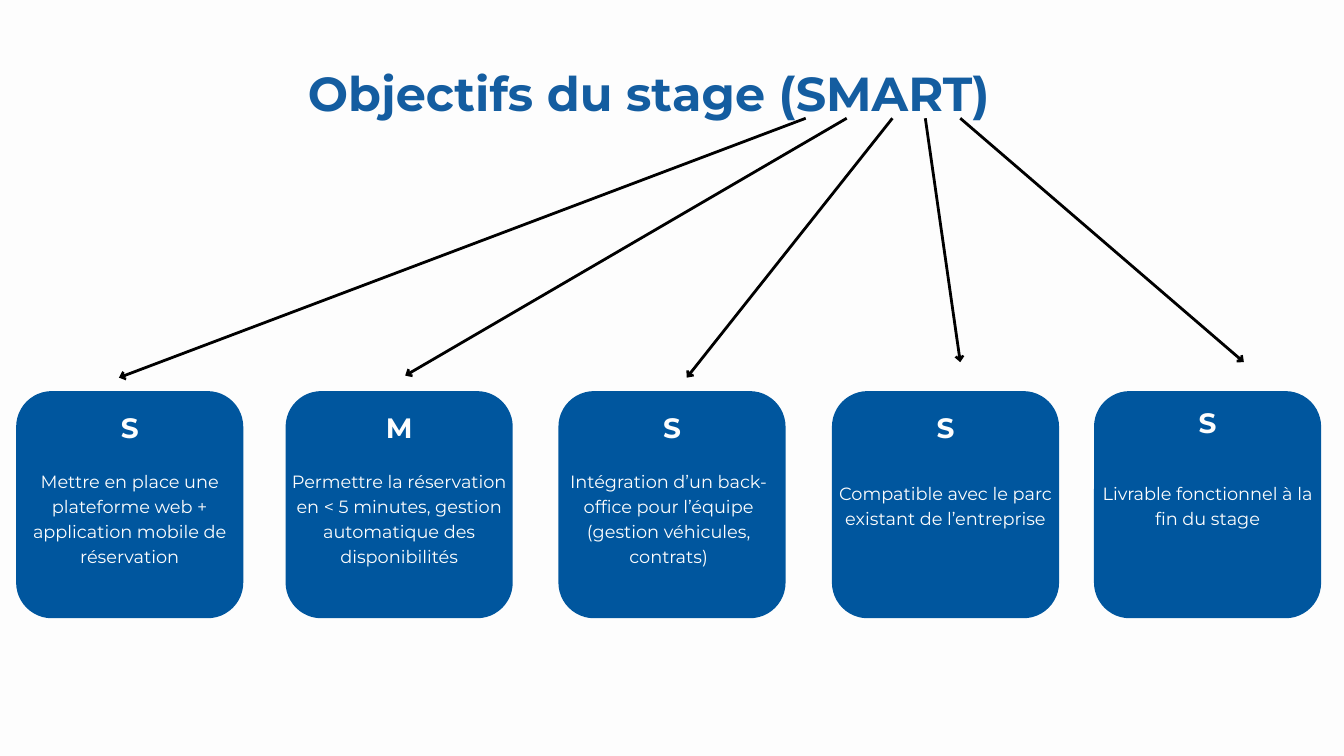
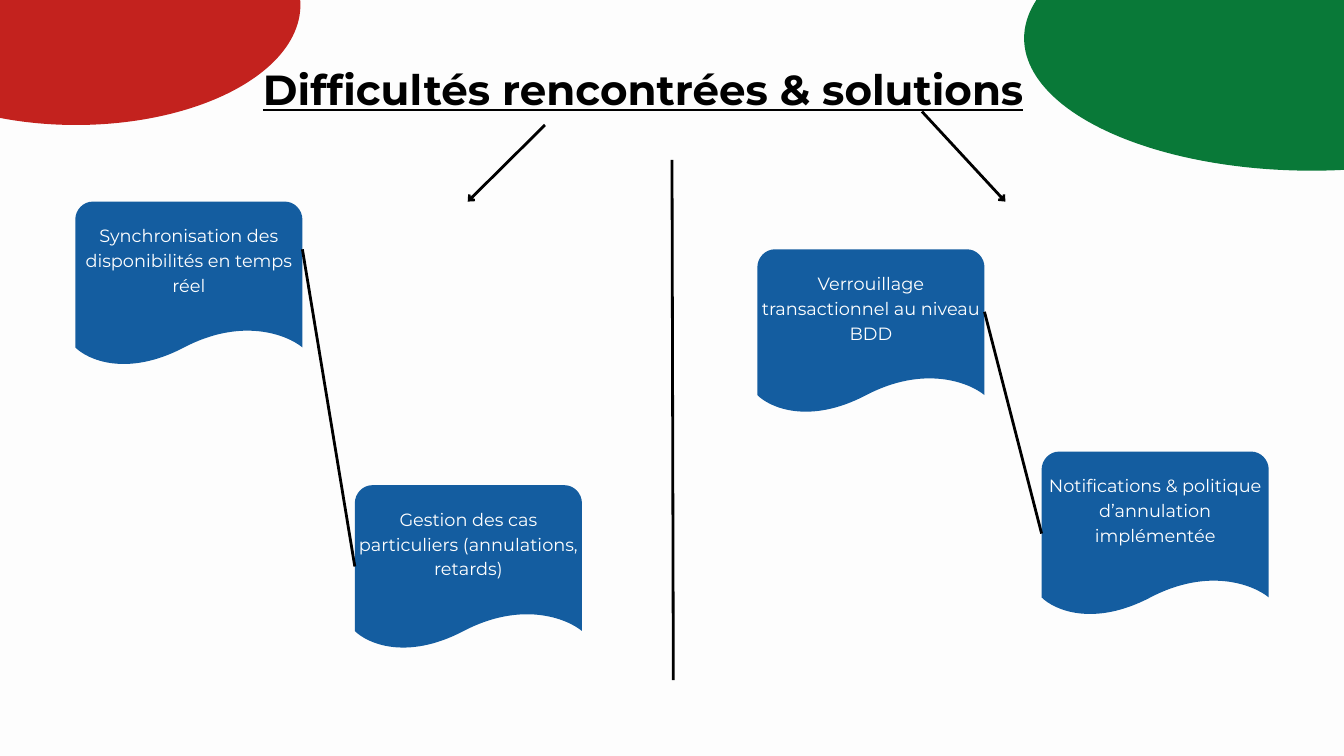
from lxml import etree
from pptx import Presentation
from pptx.dml.color import RGBColor
from pptx.enum.shapes import MSO_CONNECTOR, MSO_SHAPE
from pptx.enum.text import MSO_ANCHOR, MSO_AUTO_SIZE, PP_ALIGN
from pptx.oxml.ns import qn
from pptx.util import Inches, Pt

STRAIGHT = MSO_CONNECTOR.STRAIGHT
ROUNDED, OVAL = MSO_SHAPE.ROUNDED_RECTANGLE, MSO_SHAPE.OVAL
TOP, MIDDLE = MSO_ANCHOR.TOP, MSO_ANCHOR.MIDDLE
GROW, FIXED = MSO_AUTO_SIZE.SHAPE_TO_FIT_TEXT, MSO_AUTO_SIZE.NONE
CENTER = PP_ALIGN.CENTER

COLORS = {
    "paper": "FDFDFD", "white": "FFFFFF", "ink": "000000", "blue": "145DA0",
    "card": "00569E", "red": "C3221E", "green": "097938",
}
RGB = {name: RGBColor.from_string(value) for name, value in COLORS.items()}

# Text styles
BODY = {"size": Pt(19), "bold": False}
LETTER = {"size": Pt(30), "bold": True}
TITLE_1 = {"size": Pt(51.1), "bold": True}
TITLE_2 = {"size": Pt(45), "bold": True, "underline": True}

CARD = 3.38  # width shared by the cards and the flags


def add_text(s, box, text, style, color, spacing, anchor=TOP, inset=0):
    tf = s.shapes.add_textbox(*map(Inches, box)).text_frame
    frame = {"word_wrap": True, "vertical_anchor": anchor,
             "auto_size": FIXED if inset else GROW}
    for side in ("left", "top", "right", "bottom"):
        frame["margin_" + side] = Inches(inset)
    for name, value in frame.items():
        setattr(tf, name, value)
    p = tf.paragraphs[0]
    p.alignment = CENTER
    p.line_spacing = Pt(spacing)
    r = p.add_run()
    r.text = text
    for name, value in {"name": "Montserrat", **style}.items():
        setattr(r.font, name, value)
    r.font.color.rgb = RGB[color]


def add_line(s, ends, arrow=False):
    sp = s.shapes.add_connector(STRAIGHT, *map(Inches, ends))
    sp.line.color.rgb = RGB["ink"]
    sp.line.width = Pt(3)
    if arrow:
        ln = sp.line._get_or_add_ln()
        etree.SubElement(ln, qn("a:headEnd"), type="arrow", w="med", len="sm")
    etree.SubElement(sp._element.spPr, qn("a:effectLst"))


prs = Presentation()
prs.slide_width, prs.slide_height = Inches(20), Inches(11.25)
slides = []
for _ in range(2):
    s = prs.slides.add_slide(prs.slide_layouts[6])
    s.background.fill.solid()
    s.background.fill.fore_color.rgb = RGB["paper"]
    slides.append(s)

# Slide 1: SMART objectives
s = slides[0]

# Faint ring in the corner
sp = s.shapes.add_shape(OVAL, *map(Inches, (-2.32, -2.57, 5.13, 5.13)))
sp.shadow.inherit = False
sp.fill.background()
sp.line.color.rgb = RGB["white"]
sp.line.width = Pt(75)
ring_color = sp.line._get_or_add_ln().find(".//" + qn("a:srgbClr"))
etree.SubElement(ring_color, qn("a:alpha"), val="16000")

add_text(s, (4.34, 0.81, 10.63, 0.95), "Objectifs du stage (SMART)",
         TITLE_1, "blue", 71.5)

# Arrows: card end (x, y), then x under the title letter
for x, y, title_x in [(1.77, 5.62, 11.99), (10.22, 5.62, 13.28),
                      (6.03, 5.59, 12.6), (14.29, 5.39, 13.77),
                      (18.51, 5.39, 14.29)]:
    add_line(s, (x, y, title_x, 1.76), arrow=True)

# Cards: left, letter, letter top, text left, text top, text height, text
cards = [
    (0.24, "S", 6.03, 0.24, 6.96, 1.45,
     "Mettre en place une plateforme web + application mobile de réservation"),
    (4.25, "M", 6.03, 4.25, 6.96, 1.45,
     "Permettre la réservation en < 5 minutes, gestion automatique des disponibilités"),
    (8.31, "S", 6.03, 8.26, 6.96, 1.45,
     "Intégration d’un back-office pour l’équipe (gestion véhicules, contrats)"),
    (12.38, "S", 6.03, 12.38, 7.13, 0.72,
     "Compatible avec le parc existant de l’entreprise"),
    (16.28, "S", 5.95, 16.28, 7.13, 0.72,
     "Livrable fonctionnel à la fin du stage"),
]
for left, letter, letter_top, text_left, text_top, height, text in cards:
    sp = s.shapes.add_shape(ROUNDED, *map(Inches, (left, 5.82, CARD, CARD)))
    sp.adjustments[0] = 0.157
    sp.shadow.inherit = False
    sp.fill.solid()
    sp.fill.fore_color.rgb = RGB["card"]
    sp.line.fill.background()
    add_text(s, (left, letter_top, CARD, 0.54), letter, LETTER, "paper", 42)
    add_text(s, (text_left, text_top, CARD, height), text, BODY, "paper", 26.6)

# Slide 2: difficulties and solutions
s = slides[1]

# Flag outline from the top right; a curve takes two handles and an end
outline = [
    (3.12, 0), (0.26, 0),
    (0.12, 0), (0, 0.12), (0, 0.27),
    (0, 2.17),
    (0.18, 2.35), (0.76, 2.62), (1.62, 2.17),
    (2.48, 1.72), (3.15, 1.98), (3.38, 2.17),
    (3.38, 0.27),
    (3.38, 0.12), (3.26, 0), (3.12, 0),
]
CURVE_STARTS = (1, 5, 8, 12)  # segment number of each curve's first handle

flags = [
    (1.12, 3, "Synchronisation des disponibilités en temps réel"),
    (5.28, 7.22, "Gestion des cas particuliers (annulations, retards)"),
    (11.27, 3.71, "Verrouillage transactionnel au niveau BDD"),
    (15.5, 6.72, "Notifications & politique d’annulation implémentée"),
]
for left, top, text in flags:
    points = [(Inches(left + x), Inches(top + y)) for x, y in outline]
    fb = s.shapes.build_freeform(*points[0])
    fb.add_line_segments(points[1:], close=True)
    sp = fb.convert_to_shape()
    segments = sp._element.findall(".//" + qn("a:lnTo"))
    for start in CURVE_STARTS:
        curve = etree.Element(qn("a:cubicBezTo"))
        segments[start].addprevious(curve)
        for segment in segments[start:start + 3]:
            curve.append(segment[0])
            segment.getparent().remove(segment)
    sp.shadow.inherit = False
    sp.fill.solid()
    sp.fill.fore_color.rgb = RGB["blue"]
    sp.line.fill.background()
    add_text(s, (left, top - 0.2, CARD, 2.1), text, BODY, "white", 26.6,
             MIDDLE, 0.06)

# Links between flags, centre divider, arrows from the title
for ends in [(4.5, 3.71, 5.28, 8.43), (14.65, 4.64, 15.5, 7.94),
             (10, 2.38, 10.02, 10.12)]:
    add_line(s, ends)
for ends in [(6.96, 3, 8.11, 1.86), (14.96, 3, 13.72, 1.66)]:
    add_line(s, ends, arrow=True)

# Corner ellipses around the title
for box, color in [((-2.21, -1.71, 6.68, 3.57), "red"),
                   ((15.24, -1.4, 8.56, 3.94), "green")]:
    sp = s.shapes.add_shape(OVAL, *map(Inches, box))
    sp.shadow.inherit = False
    sp.fill.solid()
    sp.fill.fore_color.rgb = RGB[color]
    sp.line.fill.background()
    if color == "red":
        add_text(s, (3.89, 0.82, 11.36, 0.83),
                 "Difficultés rencontrées & solutions", TITLE_2, "ink", 63)

prs.save("out.pptx")
